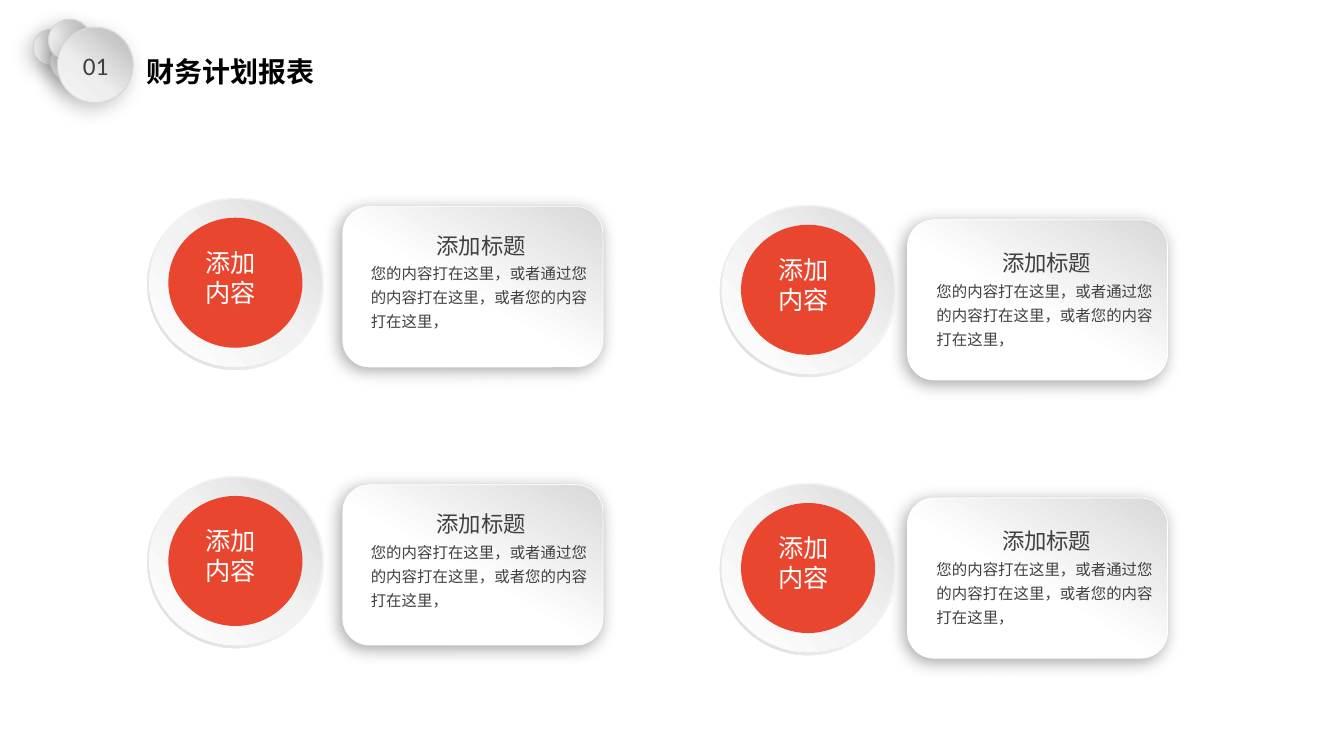
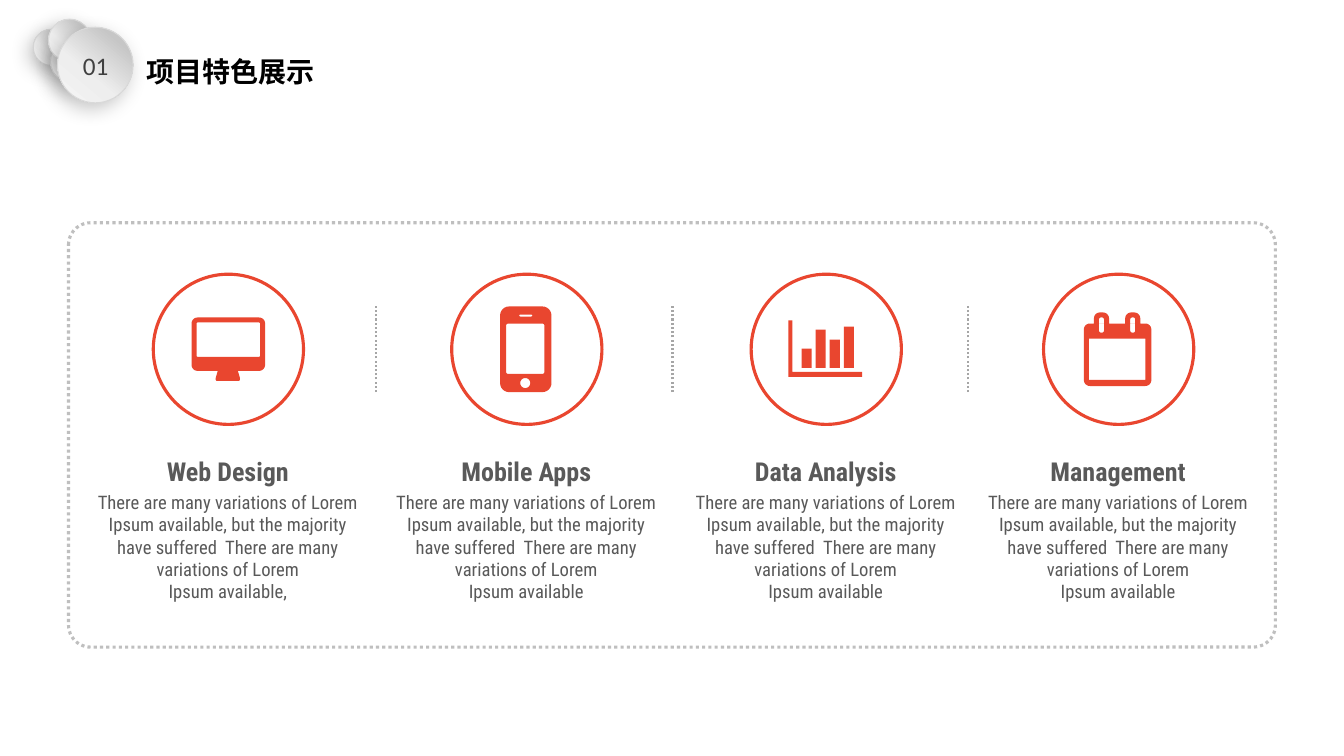
import math

from lxml import etree
from pptx import Presentation
from pptx.dml.color import RGBColor
from pptx.enum.dml import MSO_LINE
from pptx.enum.shapes import MSO_CONNECTOR, MSO_SHAPE
from pptx.enum.text import MSO_AUTO_SIZE, PP_ALIGN
from pptx.oxml.ns import qn
from pptx.util import Pt

PX = 9144
RED, WHITE, BLACK = "E9462F", "FFFFFF", "000000"
INK, COPY_GRAY = "404040", "595959"
PALE, SILVER, FRAME_GRAY, DIVIDER_GRAY = "F2F2F2", "D9D9D9", "BFBFBF", "A6A6A6"
CJK, TITLE_FONT = "Noto Sans CJK SC", "Noto Sans CJK JP"
NUMBER_FONT, FEATURE_FONT = "Calibri", "Roboto Condensed"
OVAL, ROUNDED, DONUT = MSO_SHAPE.OVAL, MSO_SHAPE.ROUNDED_RECTANGLE, MSO_SHAPE.DONUT
DOTTED, STRAIGHT = MSO_LINE.ROUND_DOT, MSO_CONNECTOR.STRAIGHT
LEFT, CENTER = PP_ALIGN.LEFT, PP_ALIGN.CENTER
GROW = MSO_AUTO_SIZE.SHAPE_TO_FIT_TEXT

BADGE_GRADIENT = ([(0, "BFBFBF"), (18, "C6C6C6"), (61, "EEEEEE"), (100, "F5F5F5")], 130)
CARD_GRADIENT = ([(45, WHITE), (100, SILVER)], 300)
RIM_GRADIENT = ([(0, PALE), (55, PALE), (100, SILVER)], 135)
DISH_GRADIENT = ([(0, WHITE), (51, PALE), (100, SILVER)], 315)
BADGE_SHADOW = (22, 14, 5, 130)
CARD_SHADOW = (34, 12, 3, 135)

BADGE_CIRCLES = [(33, 29, 36), (50, 40, 42), (48, 19, 42), (57, 27, 75)]
ROW_PITCH = 276
PLAN_COLUMNS = [((146, 196), (340, 205), (358, 217)), ((714, 203), (900, 218), (919, 234))]
PLAN_COPY = "您的内容打在这里，或者通过您的内容打在这里，或者您的内容打在这里，"
FEATURE_COPY = ("There are many variations of Lorem Ipsum available, but the majority "
                "have suffered  There are many variations of Lorem\nIpsum available")
CIRCLE_SIZE, CIRCLE_MIDDLE, FEATURE_WIDTH = 149, 346, 288


def color(value):
    return RGBColor.from_string(value)


def px(*lengths):
    return [round(length * PX) for length in lengths]


def add_color(parent, value):
    return etree.SubElement(parent, qn("a:srgbClr"), val=value)


def paint_gradient(shape, stops, angle):
    shape.fill.gradient()
    shape.fill.gradient_angle = 360 - angle
    stop_list = shape._element.spPr.find(qn("a:gradFill")).find(qn("a:gsLst"))
    for stop in list(stop_list):
        stop_list.remove(stop)
    for position, value in stops:
        add_color(etree.SubElement(stop_list, qn("a:gs"), pos=str(position * 1000)), value)


def cast_shadow(shape, alpha, blur, distance, angle):
    effects = shape._element.spPr.find(qn("a:effectLst"))
    outer = etree.SubElement(
        effects, qn("a:outerShdw"), blurRad=str(Pt(blur)), dist=str(Pt(distance)),
        dir=str(angle * 60000), algn="ctr", rotWithShape="0")
    etree.SubElement(add_color(outer, BLACK), qn("a:alpha"), val=str(alpha * 1000))


def style_line(line, value, width, dash=None):
    line.color.rgb = color(value)
    line.width = Pt(width)
    if dash:
        line.dash_style = dash


def style_shape(shape, fill=None, gradient=None, line=None, shadow=None):
    if gradient:
        paint_gradient(shape, *gradient)
    elif fill:
        shape.fill.solid()
        shape.fill.fore_color.rgb = color(fill)
    else:
        shape.fill.background()
    if line:
        style_line(shape.line, *line)
    else:
        shape.line.fill.background()
    shape.shadow.inherit = False
    if shadow:
        cast_shadow(shape, *shadow)


def add_figure(slide, preset, box, adjustment=None, **style):
    figure = slide.shapes.add_shape(preset, *px(*box))
    if adjustment is not None:
        figure.adjustments[0] = adjustment
    style_shape(figure, **style)


def add_words(slide, box, lines, font, align=LEFT, spacing=None, wrap=True, inset=5):
    frame = slide.shapes.add_textbox(*px(*box)).text_frame
    frame.word_wrap = wrap
    frame.auto_size = GROW
    frame.margin_top = frame.margin_bottom = px(inset)[0]
    for index, (words, size, value, bold) in enumerate(lines):
        paragraph = frame.add_paragraph() if index else frame.paragraphs[0]
        paragraph.text = words
        paragraph.alignment = align
        if spacing:
            paragraph.line_spacing = spacing
        for run in paragraph.runs:
            run.font.name = font
            run.font.size = Pt(size)
            run.font.bold = bold
            run.font.color.rgb = color(value)
            etree.SubElement(run._r.get_or_add_rPr(), qn("a:ea"), typeface=font)
    return frame


def add_header(slide, title):
    for left, top, size in BADGE_CIRCLES:
        add_figure(slide, OVAL, (left, top, size, size), gradient=BADGE_GRADIENT,
                   line=(SILVER, 0.75), shadow=BADGE_SHADOW)
    add_words(slide, (72, 45, 46, 40), [("01", 18, INK, False)], NUMBER_FONT, CENTER, wrap=False)
    add_words(slide, (132, 49, 194, 44), [(title, 20, BLACK, True)], TITLE_FONT, CENTER)


def add_disc(slide, left, top):
    add_figure(slide, DONUT, (left, top, 176, 171), 0.049, gradient=RIM_GRADIENT)
    add_figure(slide, OVAL, (left + 2, top + 2, 171, 166), gradient=DISH_GRADIENT)
    add_figure(slide, OVAL, (left + 21, top + 20, 133, 129), fill=RED)
    add_words(slide, (left + 48, top + 44, 100, 81),
              [(words, 18, WHITE, False) for words in ("添加", "内容")], CJK)


def add_card(slide, left, top):
    add_figure(slide, ROUNDED, (left, top, 258, 159), gradient=CARD_GRADIENT,
               line=(WHITE, 0.5), shadow=CARD_SHADOW)


def add_card_text(slide, left, top):
    add_words(slide, (left, top + 35, 243, 82), [(PLAN_COPY, 11, INK, False)], CJK, spacing=1.3)
    add_words(slide, (left + 65, top, 147, 40), [("添加标题", 16, INK, False)], CJK,
              spacing=1.5, inset=0)


def rectangle(left, top, right, bottom):
    return [(left, top), (right, top), (right, bottom), (left, bottom)]


def rounded(left, top, right, bottom, radius, bottom_radius=None):
    low = radius if bottom_radius is None else bottom_radius
    corners = [(left, top, 1, 1, radius, 180), (right, top, -1, 1, radius, 270),
               (right, bottom, -1, -1, low, 0), (left, bottom, 1, -1, low, 90)]
    points = []
    for x, y, inward_x, inward_y, bend, start in corners:
        for step in range(7 if bend else 1):
            angle = math.radians(start + 15 * step)
            points.append((x + bend * (inward_x + math.cos(angle)),
                           y + bend * (inward_y + math.sin(angle))))
    return points


def monitor_icon():
    stand = [(-10, 22), (10, 22), (12, 29), (12, 31), (11, 32), (-11, 32), (-12, 31), (-12, 29)]
    return [rounded(-36, -31, 37, 22, 6), rounded(-31, -26, 32, 8, 1), stand]


def phone_icon():
    return [rounded(-26, -42, 25, 43, 9), rounded(-20, -25, 18, 25, 2),
            rounded(-7, -34, 6, -32, 1), rounded(-6, 29, 4, 39, 5)]


def chart_icon():
    axes = [(-37, -28), (-33, -28), (-33, 23), (36, 23), (36, 28), (-37, 28)]
    bar_tops = [0, -19, -9, -22]
    return [axes] + [rectangle(14 * index - 24, top, 14 * index - 14, 19)
                     for index, top in enumerate(bar_tops)]


def calendar_icon():
    contours = [rounded(-34, -25, 33, 37, 6), rectangle(-29, -10, 27, 31)]
    for left in (-24, 7):
        contours += [rounded(left, -36, left + 15, -25, 6, 0),
                     rounded(left + 5, -31, left + 10, -16, 2)]
    return contours


def add_icon(slide, center, contours):
    placed = [[px(center + x, CIRCLE_MIDDLE + y) for x, y in contour] for contour in contours]
    builder = slide.shapes.build_freeform(*placed[0][0])
    for index, contour in enumerate(placed):
        if index:
            builder.move_to(*contour[0])
        builder.add_line_segments(contour[1:], close=True)
    style_shape(builder.convert_to_shape(), fill=RED)


def add_feature(slide, center, heading, copy_text, icon):
    box = (center - FEATURE_WIDTH // 2, 447, FEATURE_WIDTH, 136)
    frame = add_words(slide, box, [(heading, 18.6, COPY_GRAY, True),
                                   (copy_text, 13.3, COPY_GRAY, False)], FEATURE_FONT, CENTER)
    frame.paragraphs[1].space_before = Pt(3)
    corner = center - CIRCLE_SIZE // 2
    add_figure(slide, OVAL, (corner, 272, CIRCLE_SIZE, CIRCLE_SIZE), line=(RED, 2.25))
    add_icon(slide, center, icon)


def add_divider(slide, x):
    divider = slide.shapes.add_connector(STRAIGHT, *px(x, 389, x, 303))
    style_line(divider.line, DIVIDER_GRAY, 1.5, DOTTED)
    etree.SubElement(divider._element.spPr, qn("a:effectLst"))


def build_plan(slide):
    add_header(slide, "财务计划报表")
    for row in range(2):
        drop = row * ROW_PITCH
        for disc, card, note in PLAN_COLUMNS:
            for draw, (left, top) in ((add_card, card), (add_card_text, note), (add_disc, disc)):
                draw(slide, left, top + drop)


def build_features(slide):
    add_header(slide, "项目特色展示")
    add_figure(slide, ROUNDED, (68, 221, 1197, 421), 0.052, line=(FRAME_GRAY, 2.25, DOTTED))
    features = [
        (226, "Web Design", FEATURE_COPY + ",", monitor_icon()),
        (522, "Mobile Apps", FEATURE_COPY, phone_icon()),
        (819, "Data Analysis", FEATURE_COPY, chart_icon()),
        (1109, "Management", FEATURE_COPY, calendar_icon()),
    ]
    for feature in features:
        add_feature(slide, *feature)
    for x in (373, 667, 960):
        add_divider(slide, x)


def main():
    deck = Presentation()
    deck.slide_width, deck.slide_height = px(1333, 750)
    for build in (build_plan, build_features):
        build(deck.slides.add_slide(deck.slide_layouts[6]))
    deck.save("out.pptx")


if __name__ == "__main__":
    main()
